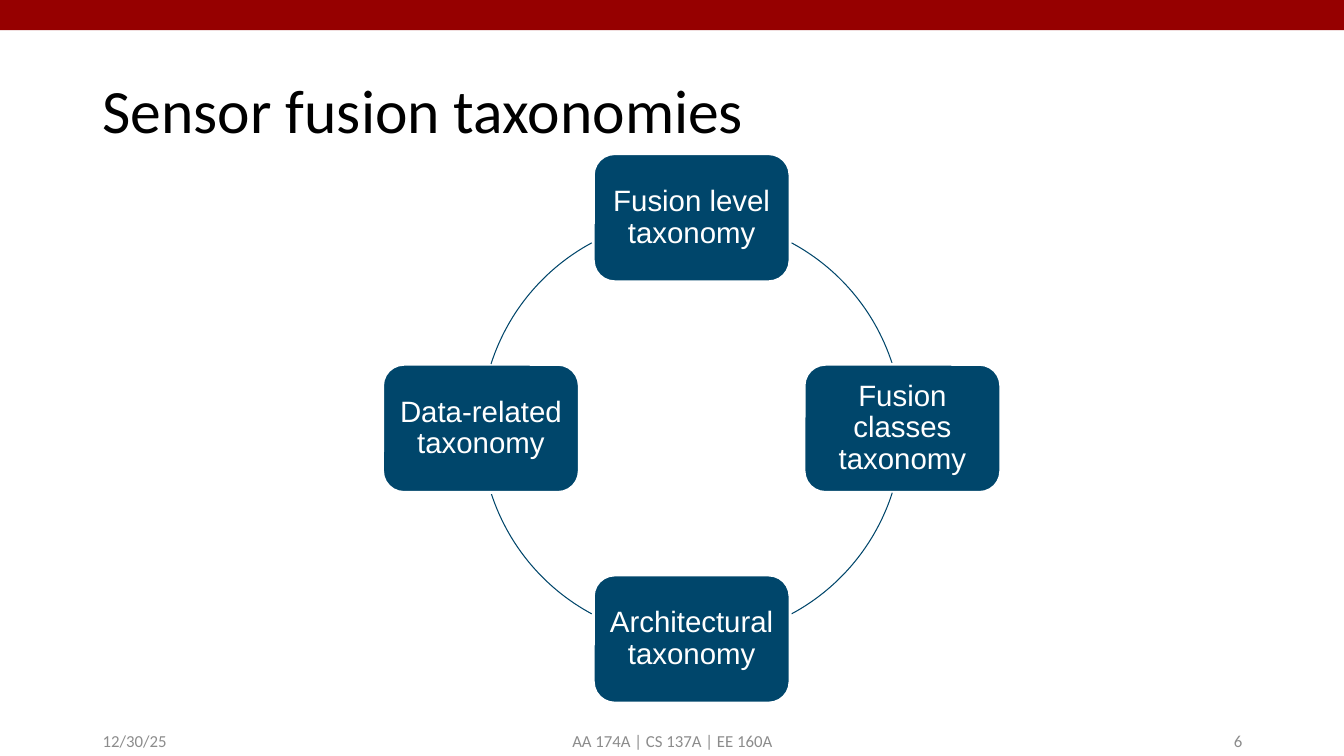
"""Build a slide showing four sensor fusion taxonomies around a ring."""
from pptx import Presentation
from pptx.dml.color import RGBColor
from pptx.enum.shapes import MSO_SHAPE
from pptx.enum.text import MSO_ANCHOR, PP_ALIGN
from pptx.util import Inches, Pt

TITLE = "Sensor fusion taxonomies"
FOOTERS = [
    ("12/30/25", 0.92, 3, PP_ALIGN.LEFT),
    ("AA 174A | CS 137A | EE 160A", 4.42, 4.5, PP_ALIGN.CENTER),
    ("6", 9.42, 3, PP_ALIGN.RIGHT),
]
TAXONOMIES = [
    ("Fusion level taxonomy", 0, -1),
    ("Fusion classes taxonomy", 1, 0),
    ("Architectural taxonomy", 0, 1),
    ("Data-related taxonomy", -1, 0),
]
ARC_ANGLES = [(298.3, 342.2), (17.8, 61.7), (118.3, 162.2), (197.8, 241.7)]

CENTER_X, CENTER_Y, RADIUS = 6.86, 4.25, 2.09
NODE_WIDTH, NODE_HEIGHT, NODE_INSET = 1.95, 1.27, 0.09
ADJUSTMENT_PER_DEGREE = 0.6

RED = RGBColor(0x96, 0x00, 0x00)
BLUE = RGBColor(0x00, 0x46, 0x6B)
GRAY = RGBColor(0x8C, 0x8C, 0x8C)
BLACK = RGBColor(0x00, 0x00, 0x00)
WHITE = RGBColor(0xFF, 0xFF, 0xFF)


def write_text(shape, text, font_name, size, color, alignment, line_spacing=1.0):
    frame = shape.text_frame
    frame.word_wrap = True
    frame.vertical_anchor = MSO_ANCHOR.MIDDLE
    frame.text = text
    paragraph = frame.paragraphs[0]
    paragraph.alignment = alignment
    paragraph.line_spacing = line_spacing
    font = paragraph.runs[0].font
    font.name, font.size, font.color.rgb = font_name, Pt(size), color


def add_shape(slide, kind, left, top, width, height, fill=None, line=None, line_width=0):
    shape = slide.shapes.add_shape(
        kind, Inches(left), Inches(top), Inches(width), Inches(height))
    shape.shadow.inherit = False
    if fill is None:
        shape.fill.background()
    else:
        shape.fill.solid()
        shape.fill.fore_color.rgb = fill
    if line is None:
        shape.line.fill.background()
    else:
        shape.line.color.rgb = line
        shape.line.width = Pt(line_width)
    return shape


def add_node(slide, text, step_x, step_y):
    left = CENTER_X + step_x * RADIUS - NODE_WIDTH / 2
    top = CENTER_Y + step_y * RADIUS - NODE_HEIGHT / 2
    node = add_shape(slide, MSO_SHAPE.ROUNDED_RECTANGLE, left, top,
                     NODE_WIDTH, NODE_HEIGHT, BLUE, WHITE, 2)
    frame = node.text_frame
    frame.margin_left = frame.margin_right = Inches(NODE_INSET)
    frame.margin_top = frame.margin_bottom = Inches(NODE_INSET)
    write_text(node, text, "Arial", 21, WHITE, PP_ALIGN.CENTER, 0.9)


def add_arc(slide, start, end):
    arc = add_shape(slide, MSO_SHAPE.ARC, CENTER_X - RADIUS, CENTER_Y - RADIUS,
                    2 * RADIUS, 2 * RADIUS, line=BLUE, line_width=0.75)
    arc.adjustments[0] = start * ADJUSTMENT_PER_DEGREE
    arc.adjustments[1] = end * ADJUSTMENT_PER_DEGREE


def main():
    presentation = Presentation()
    presentation.slide_width, presentation.slide_height = Inches(13.33), Inches(7.5)
    slide = presentation.slides.add_slide(presentation.slide_layouts[6])

    add_shape(slide, MSO_SHAPE.RECTANGLE, 0, 0, 13.33, 0.3, RED)
    title = slide.shapes.add_textbox(Inches(0.92), Inches(0.4), Inches(11.5), Inches(1.45))
    write_text(title, TITLE, "Calibri", 44, BLACK, PP_ALIGN.LEFT, 0.9)
    for text, left, width, alignment in FOOTERS:
        footer = slide.shapes.add_textbox(
            Inches(left), Inches(7.15), Inches(width), Inches(0.4))
        write_text(footer, text, "Calibri", 12, GRAY, alignment)

    for taxonomy, angles in zip(TAXONOMIES, ARC_ANGLES):
        add_node(slide, *taxonomy)
        add_arc(slide, *angles)

    presentation.save("out.pptx")


if __name__ == "__main__":
    main()
